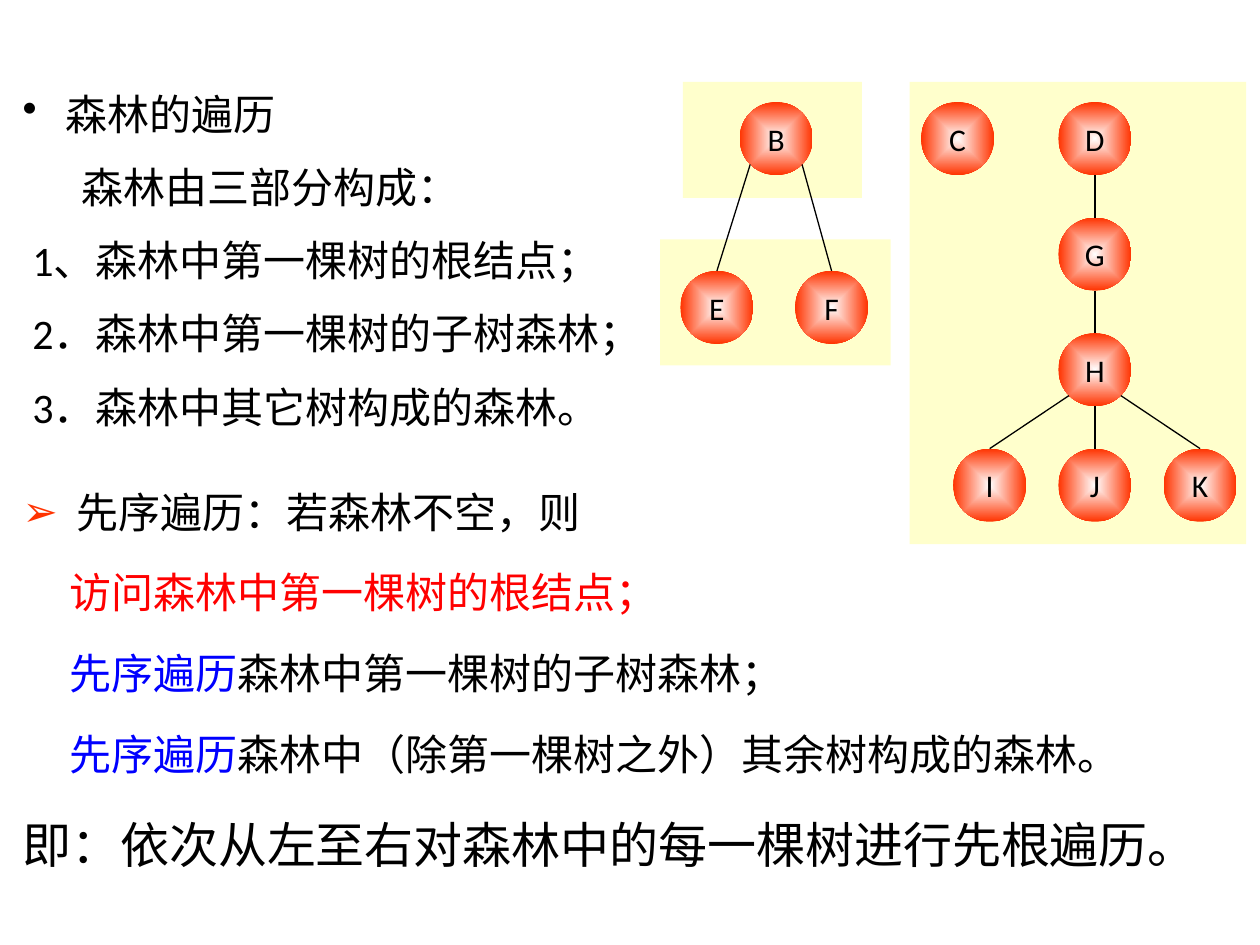
from typing import NamedTuple, Optional

from lxml.etree import SubElement
from pptx import Presentation
from pptx.dml.color import RGBColor
from pptx.enum.shapes import MSO_CONNECTOR as Connector, MSO_SHAPE as Shape
from pptx.enum.text import MSO_ANCHOR as Anchor, MSO_AUTO_SIZE as AutoSize, PP_ALIGN as Align
from pptx.oxml import parse_xml
from pptx.oxml.ns import nsdecls, qn
from pptx.util import Inches, Pt

BLACK = RGBColor(0x00, 0x00, 0x00)
WHITE = RGBColor(0xFF, 0xFF, 0xFF)
RED = RGBColor(0xFF, 0x00, 0x00)
BLUE = RGBColor(0x00, 0x00, 0xFF)
ORANGE = RGBColor(0xFF, 0x33, 0x00)
CREAM = RGBColor(0xFF, 0xFF, 0xCC)
LATIN, CJK = "Calibri", "Noto Sans CJK SC"

NODE = 0.58
DIAGONAL = NODE / 2 * 0.71  # offset of the 45° point on a node's rim
LEFT, LINE_HEIGHT, LINE_STEP = 0.08, 0.5, 0.585


class Box(NamedTuple):
    left: float
    top: float
    width: float
    height: float


class Piece(NamedTuple):
    text: str
    color: RGBColor = BLACK
    font: Optional[str] = None


class Line(NamedTuple):
    pieces: list[Piece]
    indent: float = 0
    bullet: Optional[str] = None
    bullet_color: RGBColor = BLACK
    size: int = 24
    spacing: float = 1.0


class Node(NamedTuple):
    x: float  # centre
    top: float
    parent: Optional[str] = None


def set_bullet(paragraph, line: Line) -> None:
    properties = paragraph._p.get_or_add_pPr()
    properties.set("marL", str(Inches(line.indent)))
    properties.set("indent", str(-Inches(line.indent) if line.bullet else 0))
    if line.bullet:
        color = SubElement(properties, qn("a:buClr"))
        SubElement(color, qn("a:srgbClr"), val=str(line.bullet_color))
        SubElement(properties, qn("a:buChar"), char=line.bullet)
    else:
        SubElement(properties, qn("a:buNone"))


def write_lines(shape, box: Box, lines: list[Line]) -> None:
    shape.left, shape.top, shape.width, shape.height = map(Inches, box)
    frame = shape.text_frame
    frame.word_wrap = True
    frame.auto_size = AutoSize.NONE
    frame.vertical_anchor = Anchor.TOP
    for index, line in enumerate(lines):
        paragraph = frame.paragraphs[0] if index == 0 else frame.add_paragraph()
        set_bullet(paragraph, line)
        paragraph.alignment = Align.LEFT
        paragraph.line_spacing = line.spacing
        paragraph.space_before = Pt(0)
        paragraph.font.size = Pt(line.size)
        paragraph.font.name = LATIN
        for piece in line.pieces:
            run = paragraph.add_run()
            run.text = piece.text
            run.font.color.rgb = piece.color
            if piece.font:
                run.font.name = piece.font


def add_line_box(slide, box: Box, line: Line) -> None:
    write_lines(slide.shapes.add_textbox(0, 0, 0, 0), box, [line])


def add_region(slide, box: Box) -> None:
    region = slide.shapes.add_shape(Shape.RECTANGLE, *map(Inches, box))
    region.shadow.inherit = False
    region.fill.solid()
    region.fill.fore_color.rgb = CREAM
    region.line.fill.background()


def add_node(slide, label: str, node: Node) -> None:
    circle = slide.shapes.add_shape(
        Shape.OVAL, Inches(node.x - NODE / 2), Inches(node.top), Inches(NODE), Inches(NODE))
    circle.shadow.inherit = False
    circle.line.fill.background()

    # Gradient radiating from the centre
    circle.fill.gradient()
    for stop, color, position in zip(circle.fill.gradient_stops, (WHITE, ORANGE), (0, 1)):
        stop.color.rgb = color
        stop.position = position
    gradient = circle._element.spPr.find(qn("a:gradFill"))
    gradient.replace(gradient.find(qn("a:lin")), parse_xml(
        f'<a:path {nsdecls("a")} path="shape">'
        '<a:fillToRect l="50000" t="50000" r="50000" b="50000"/></a:path>'))

    frame = circle.text_frame
    frame.word_wrap = False
    frame.vertical_anchor = Anchor.MIDDLE
    paragraph = frame.paragraphs[0]
    paragraph.text = label
    paragraph.alignment = Align.CENTER
    paragraph.font.size = Pt(18)
    paragraph.font.name = LATIN
    paragraph.font.color.rgb = BLACK


def add_edge(slide, parent: Node, child: Node) -> None:
    side = (child.x > parent.x) - (child.x < parent.x)
    start_x = parent.x + side * DIAGONAL
    start_y = parent.top + NODE / 2 + (DIAGONAL if side else NODE / 2)
    edge = slide.shapes.add_connector(
        Connector.STRAIGHT, *map(Inches, (start_x, start_y, child.x, child.top)))
    edge.line.color.rgb = BLACK
    edge.line.width = Pt(0.75)
    SubElement(edge._element.spPr, qn("a:effectLst"))


PREORDER = [
    Line([Piece("先序遍历：若森林不空，则")], 0.43, "➢", ORANGE, spacing=1.6),
    Line([Piece("访问森林中第一棵树的根结点；", RED)], 0.37, spacing=1.6),
    Line([Piece("先序遍历", BLUE), Piece("森林中第一棵树的子树森林；")], 0.37, spacing=1.6),
    Line([Piece("先序遍历", BLUE), Piece("森林中（除第一棵树之外）其余树构成的森林。")],
         0.37, spacing=1.6),
]
FOREST_PARTS = [
    ("1", "、森林中第一棵树的根结点；"),
    ("2", "．森林中第一棵树的子树森林；"),
    ("3", "．森林中其它树构成的森林。"),
]
REGIONS = [
    Box(7.22, 0.65, 2.67, 3.67),
    Box(5.42, 0.65, 1.42, 0.92),
    Box(5.24, 1.9, 1.83, 1),
]
ROOT_TOP, LEVEL, CHAIN_X, SPREAD = 0.81, 0.917, 8.69, 0.835
LEAF_TOP = ROOT_TOP + 3 * LEVEL
NODES = {
    "B": Node(6.16, ROOT_TOP),
    "C": Node(7.6, ROOT_TOP),
    "D": Node(CHAIN_X, ROOT_TOP),
    "E": Node(5.69, 2.15, "B"),
    "F": Node(6.6, 2.15, "B"),
    "G": Node(CHAIN_X, ROOT_TOP + LEVEL, "D"),
    "H": Node(CHAIN_X, ROOT_TOP + 2 * LEVEL, "G"),
    "I": Node(CHAIN_X - SPREAD, LEAF_TOP, "H"),
    "J": Node(CHAIN_X, LEAF_TOP, "H"),
    "K": Node(CHAIN_X + SPREAD, LEAF_TOP, "H"),
}


def main() -> None:
    deck = Presentation()
    deck.slide_width, deck.slide_height = Inches(10), Inches(7.5)
    slide = deck.slides.add_slide(deck.slide_layouts[1])

    # Heading and traversal steps
    write_lines(slide.shapes.title, Box(LEFT, 0.65, 2.67, LINE_HEIGHT),
                [Line([Piece("森林的遍历")], 0.34, "•")])
    write_lines(slide.placeholders[1], Box(LEFT, 3.57, 9.16, 2.66), PREORDER)

    # The three parts of a forest
    add_line_box(slide, Box(0.55, 1.23, 3.3, LINE_HEIGHT), Line([Piece("森林由三部分构成：")]))
    for row, (number, part) in enumerate(FOREST_PARTS):
        add_line_box(slide, Box(LEFT, 1.81 + row * LINE_STEP, 5.17, LINE_HEIGHT),
                     Line([Piece(number), Piece(part, font=CJK)], 0.08))

    # Conclusion
    add_line_box(slide, Box(LEFT, 6.3, 9.67, 0.68), Line(
        [Piece("即：依次从左至右对森林中的每一棵树进行先根遍历。")], size=28, spacing=1.25))

    # Forest diagram
    for region in REGIONS:
        add_region(slide, region)
    for label, node in NODES.items():
        add_node(slide, label, node)
    for node in NODES.values():
        if node.parent:
            add_edge(slide, NODES[node.parent], node)

    deck.save("out.pptx")


if __name__ == "__main__":
    main()
